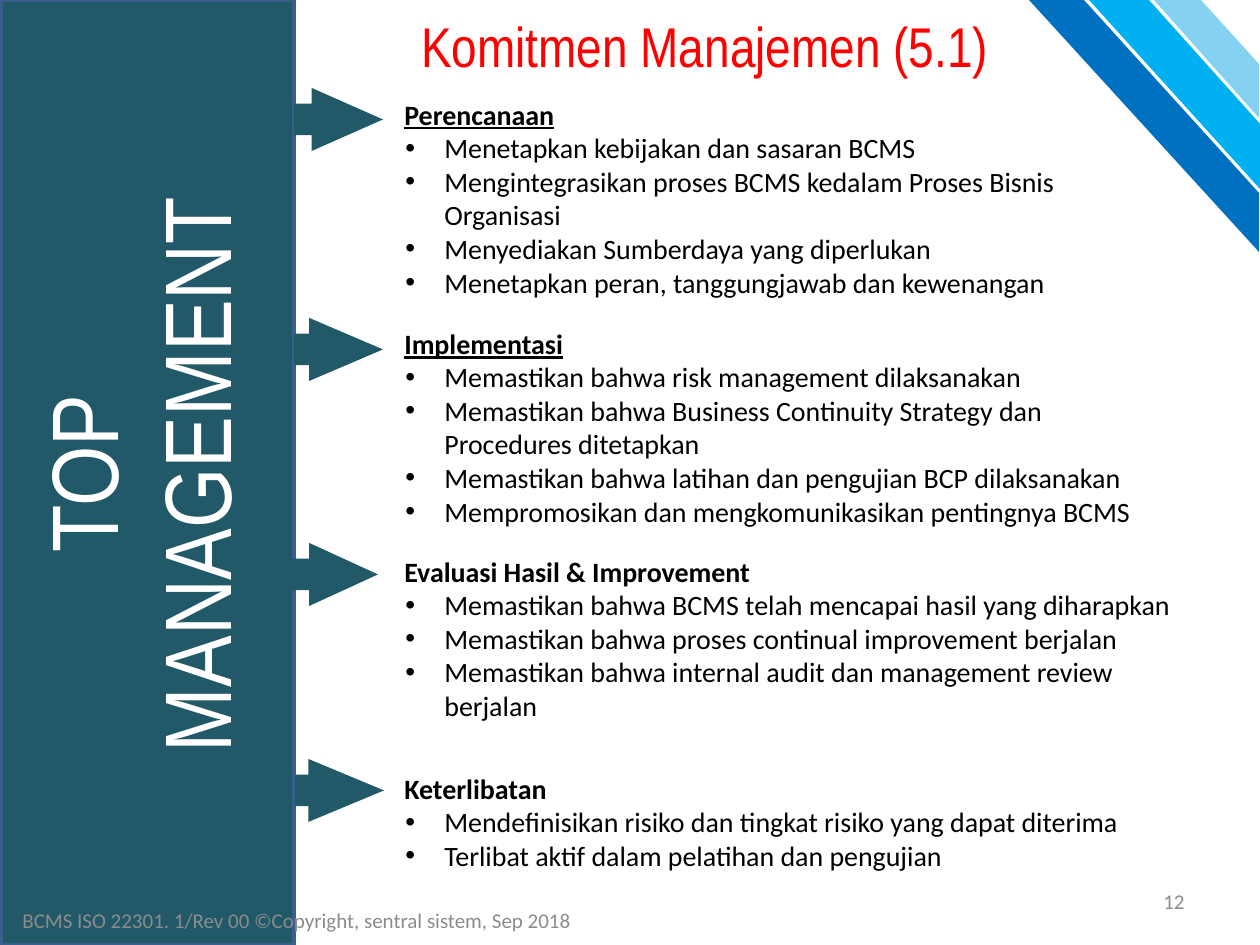
from lxml import etree
from pptx import Presentation
from pptx.dml.color import RGBColor
from pptx.enum.shapes import MSO_SHAPE
from pptx.enum.text import MSO_ANCHOR, MSO_AUTO_SIZE, PP_ALIGN
from pptx.oxml.ns import qn
from pptx.util import Emu, Pt

RECTANGLE, RIGHT_ARROW = MSO_SHAPE.RECTANGLE, MSO_SHAPE.RIGHT_ARROW
MIDDLE, TOP = MSO_ANCHOR.MIDDLE, MSO_ANCHOR.TOP
GROW, FIXED = MSO_AUTO_SIZE.SHAPE_TO_FIT_TEXT, MSO_AUTO_SIZE.NONE
LEFT, CENTER, RIGHT = PP_ALIGN.LEFT, PP_ALIGN.CENTER, PP_ALIGN.RIGHT

SCALE = 914400 / 126  # EMU per px
COLORS = {
    "teal": "215968", "outline": "3A5F8C", "red": "FF0000", "white": "FFFFFF",
    "black": "000000", "gray": "8C8C8C",
    "sky": "00B0F0", "blue": "0070C0", "pale": "85D1F1",
}


def px(*lengths):
    return [Emu(round(length * SCALE)) for length in lengths]


def write(paragraph, text, color, **formats):
    paragraph.text = text
    paragraph.font.color.rgb = RGBColor.from_string(COLORS[color])
    for name, value in formats.items():
        setattr(paragraph.font, name, value)


presentation = Presentation()
presentation.slide_width, presentation.slide_height = px(1260, 945)
slide = presentation.slides.add_slide(presentation.slide_layouts[5])
shapes = slide.shapes

# Side panel, behind the title
panel = shapes.add_shape(RECTANGLE, *px(1, 0, 293, 945))
panel.shadow.inherit = False
panel.fill.solid()
panel.fill.fore_color.rgb = RGBColor.from_string(COLORS["teal"])
panel.line.color.rgb = RGBColor.from_string(COLORS["outline"])
panel.line.width = Pt(2)

# Vertical title
title = shapes.title
title._element.addprevious(panel._element)
title.left, title.top, title.width, title.height = px(-219, 430, 712, 89)
title.rotation = 270
title.text_frame.word_wrap = True
title.text_frame.auto_size = FIXED
title.text_frame.vertical_anchor = MIDDLE
title_paragraph = title.text_frame.paragraphs[0]
title_paragraph.alignment = CENTER
write(title_paragraph, "TOP MANAGEMENT", "white", size=Pt(54), name="Arial Narrow")

# Heading, footer and slide number
labels = [
    ("Komitmen Manajemen (5.1)", (378, 5, 654, 81), CENTER, TOP, False, GROW,
     "red", 32, "Arial Narrow"),
    ("BCMS ISO 22301. 1/Rev 00 ©Copyright, sentral sistem, Sep 2018",
     (10, 895, 809, 50), LEFT, MIDDLE, True, FIXED, "gray", 12, "Calibri"),
    ("12", (903, 876, 294, 50), RIGHT, MIDDLE, True, FIXED, "gray", 12, "Calibri"),
]
for text, place, alignment, anchor, wrap, fit, color, size, font_name in labels:
    frame = shapes.add_textbox(*px(*place)).text_frame
    frame.word_wrap, frame.auto_size, frame.vertical_anchor = wrap, fit, anchor
    frame.paragraphs[0].alignment = alignment
    write(frame.paragraphs[0], text, color, size=Pt(size), name=font_name)

# Commitment sections: top, height, underlined heading, arrow place and head, texts
sections = [
    (91, 217, True, (294, 88, 89, 63), 1.13, "Perencanaan", [
        "Menetapkan kebijakan dan sasaran BCMS",
        "Mengintegrasikan proses BCMS kedalam Proses Bisnis Organisasi",
        "Menyediakan Sumberdaya yang diperlukan",
        "Menetapkan peran, tanggungjawab dan kewenangan"]),
    (320, 217, True, (294, 318, 89, 63), 1.17, "Implementasi", [
        "Memastikan bahwa risk management dilaksanakan",
        "Memastikan bahwa Business Continuity Strategy dan Procedures ditetapkan",
        "Memastikan bahwa latihan dan pengujian BCP dilaksanakan",
        "Mempromosikan dan mengkomunikasikan pentingnya BCMS"]),
    (548, 183, False, (289, 543, 89, 63), 1.09, "Evaluasi Hasil & Improvement", [
        "Memastikan bahwa BCMS telah mencapai hasil yang diharapkan",
        "Memastikan bahwa proses continual improvement berjalan",
        "Memastikan bahwa internal audit dan management review berjalan"]),
    (765, 115, False, (295, 759, 89, 63), 1.2, "Keterlibatan", [
        "Mendefinisikan risiko dan tingkat risiko yang dapat diterima",
        "Terlibat aktif dalam pelatihan dan pengujian"]),
]
for top, height, underline, arrow_place, head, heading, points in sections:
    frame = shapes.add_textbox(*px(378, top, 809, height)).text_frame
    frame.word_wrap, frame.auto_size = True, GROW
    for index, text in enumerate([heading, *points]):
        is_heading = index == 0
        paragraph = frame.paragraphs[0] if is_heading else frame.add_paragraph()
        paragraph.level = 1
        margin, indent = px(14, 0) if is_heading else px(54, -39)
        properties = paragraph._p.get_or_add_pPr()
        properties.set("marL", str(margin))
        properties.set("indent", str(indent))
        if not is_heading:
            etree.SubElement(properties, qn("a:buFont"), typeface="Arial")
            etree.SubElement(properties, qn("a:buChar"), char="•")
        write(paragraph, text, "black", size=Pt(16), name="Calibri",
              bold=is_heading, underline=is_heading and underline)

    arrow = shapes.add_shape(RIGHT_ARROW, *px(*arrow_place))
    arrow.adjustments[0], arrow.adjustments[1] = 0.5, head
    arrow.shadow.inherit = False
    arrow.fill.solid()
    arrow.fill.fore_color.rgb = RGBColor.from_string(COLORS["teal"])
    arrow.line.fill.background()

# Corner stripes
stripes = [
    ("sky", [(1089, 0), (1149, 0), (1261, 125), (1260, 189)]),
    ("blue", [(1029, 0), (1084, 0), (1259, 193), (1259, 252)]),
    ("pale", [(1154, 0), (1201, 0), (1259, 64), (1259, 118)]),
]
for color, corners in stripes:
    builder = shapes.build_freeform(*corners[0], scale=SCALE)
    builder.add_line_segments(corners[1:], close=True)
    stripe = builder.convert_to_shape()
    stripe.shadow.inherit = False
    stripe.fill.solid()
    stripe.fill.fore_color.rgb = RGBColor.from_string(COLORS[color])
    stripe.line.fill.background()

presentation.save("out.pptx")
